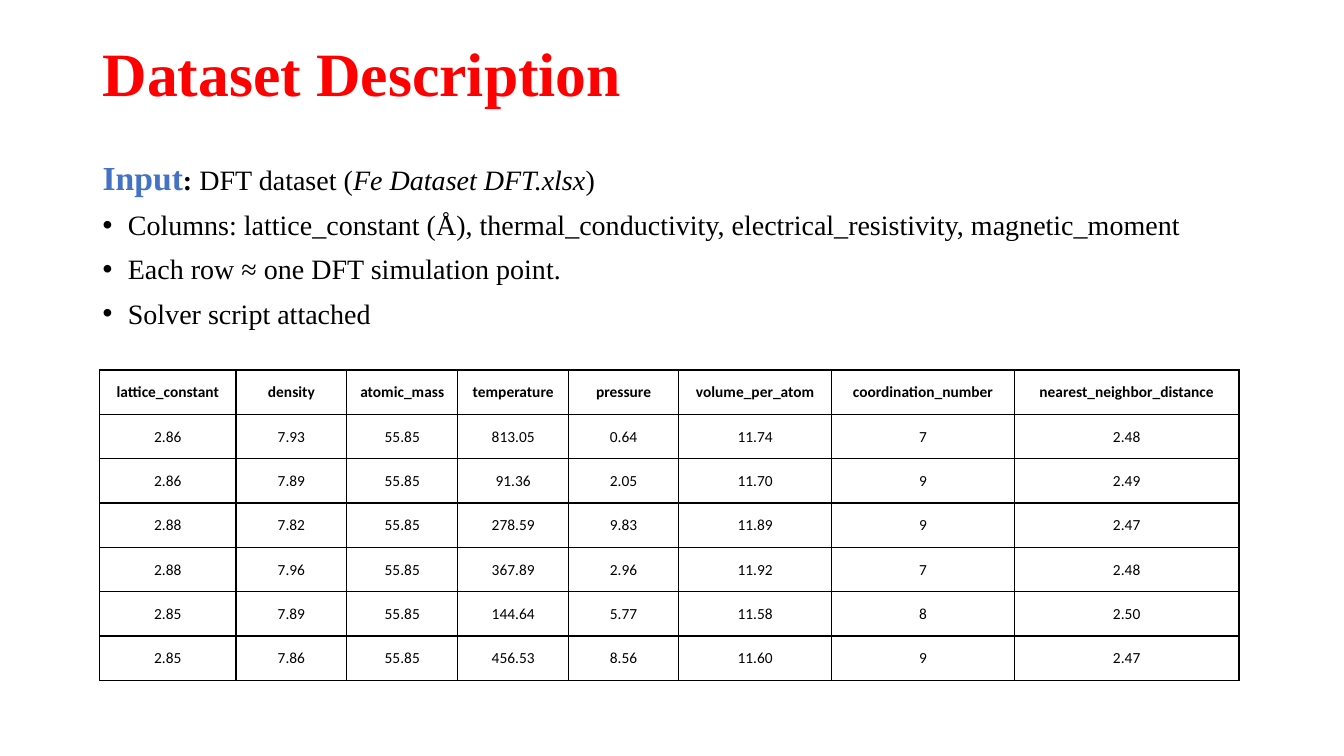
from lxml.etree import SubElement
from pptx import Presentation
from pptx.dml.color import RGBColor
from pptx.enum.text import MSO_ANCHOR, PP_ALIGN
from pptx.oxml.ns import qn
from pptx.util import Inches, Pt

COLORS = {"title": "FF0000", "accent": "4472C4", "text": "000000", "cell": "FFFFFF"}
SERIF, SANS = "Times New Roman", "Calibri"

BODY = [
    "Columns: lattice_constant (Å), thermal_conductivity, electrical_resistivity, magnetic_moment",
    "Each row ≈ one DFT simulation point.",
    "Solver script attached",
]
COL_WIDTHS = [1.35, 1.1, 1.1, 1.1, 1.09, 1.52, 1.81, 2.23]
ROWS = [
    ["lattice_constant", "density", "atomic_mass", "temperature", "pressure",
     "volume_per_atom", "coordination_number", "nearest_neighbor_distance"],
    ["2.86", "7.93", "55.85", "813.05", "0.64", "11.74", "7", "2.48"],
    ["2.86", "7.89", "55.85", "91.36", "2.05", "11.70", "9", "2.49"],
    ["2.88", "7.82", "55.85", "278.59", "9.83", "11.89", "9", "2.47"],
    ["2.88", "7.96", "55.85", "367.89", "2.96", "11.92", "7", "2.48"],
    ["2.85", "7.89", "55.85", "144.64", "5.77", "11.58", "8", "2.50"],
    ["2.85", "7.86", "55.85", "456.53", "8.56", "11.60", "9", "2.47"],
]


def add_run(p, text, size=20, font=SERIF, color="text", bold=False, italic=False):
    r = p.add_run()
    r.text = text
    r.font.size = Pt(size)
    r.font.name = font
    r.font.bold = bold
    r.font.italic = italic
    r.font.color.rgb = RGBColor.from_string(COLORS[color])


class SlideBuilder:
    def __init__(self, slide):
        self.slide = slide

    def text_box(self, left, top, width, height, margin_top=0.05):
        sp = self.slide.shapes.add_textbox(
            Inches(left), Inches(top), Inches(width), Inches(height))
        tf = sp.text_frame
        tf.word_wrap = True
        tf.margin_top = Inches(margin_top)
        return tf

    def paragraph(self, tf, first=False, before=10, bullet=False):
        p = tf.paragraphs[0] if first else tf.add_paragraph()
        p.line_spacing = 0.9
        p.space_before = Pt(before)
        if bullet:
            pPr = p._p.get_or_add_pPr()
            pPr.set("marL", str(Inches(0.25)))
            pPr.set("indent", str(Inches(-0.25)))
            SubElement(pPr, qn("a:buFont"), typeface="Arial")
            SubElement(pPr, qn("a:buChar"), char="•")
        return p

    def borders(self, cell):
        tcPr = cell._tc.get_or_add_tcPr()
        for i, side in enumerate(("lnL", "lnR", "lnT", "lnB")):
            ln = tcPr.makeelement(qn(f"a:{side}"), {"w": str(Pt(1))})
            fill = SubElement(ln, qn("a:solidFill"))
            SubElement(fill, qn("a:srgbClr"), val=COLORS["text"])
            tcPr.insert(i, ln)

    def table(self, left, top, widths, row_height, rows):
        table = self.slide.shapes.add_table(
            len(rows), len(widths), Inches(left), Inches(top),
            Inches(sum(widths)), Inches(row_height * len(rows))).table
        for column, width in zip(table.columns, widths):
            column.width = Inches(width)
        for i, row in enumerate(rows):
            for j, text in enumerate(row):
                cell = table.cell(i, j)
                cell.fill.solid()
                cell.fill.fore_color.rgb = RGBColor.from_string(COLORS["cell"])
                cell.vertical_anchor = MSO_ANCHOR.MIDDLE
                cell.margin_left = cell.margin_right = cell.margin_top = Inches(0.01)
                cell.margin_bottom = 0
                p = cell.text_frame.paragraphs[0]
                p.alignment = PP_ALIGN.CENTER
                add_run(p, text, size=11, font=SANS, bold=i == 0)
                self.borders(cell)


def main():
    prs = Presentation()
    prs.slide_width, prs.slide_height = Inches(13.33), Inches(7.5)
    s = SlideBuilder(prs.slides.add_slide(prs.slide_layouts[6]))

    tf = s.text_box(0.92, 0.4, 11.5, 1.45, margin_top=0.03)
    p = s.paragraph(tf, first=True, before=0)
    add_run(p, "Dataset Description", size=44, color="title", bold=True)

    tf = s.text_box(0.92, 1.55, 11.5, 4.76)
    p = s.paragraph(tf, first=True)
    add_run(p, "Input", size=24, color="accent", bold=True)
    add_run(p, ":", bold=True)
    add_run(p, " DFT dataset (")
    add_run(p, "Fe Dataset DFT.xlsx", italic=True)
    add_run(p, ")")
    for text in BODY:
        add_run(s.paragraph(tf, bullet=True), text)

    s.table(0.99, 3.67, COL_WIDTHS, 0.44, ROWS)
    prs.save("out.pptx")


if __name__ == "__main__":
    main()
